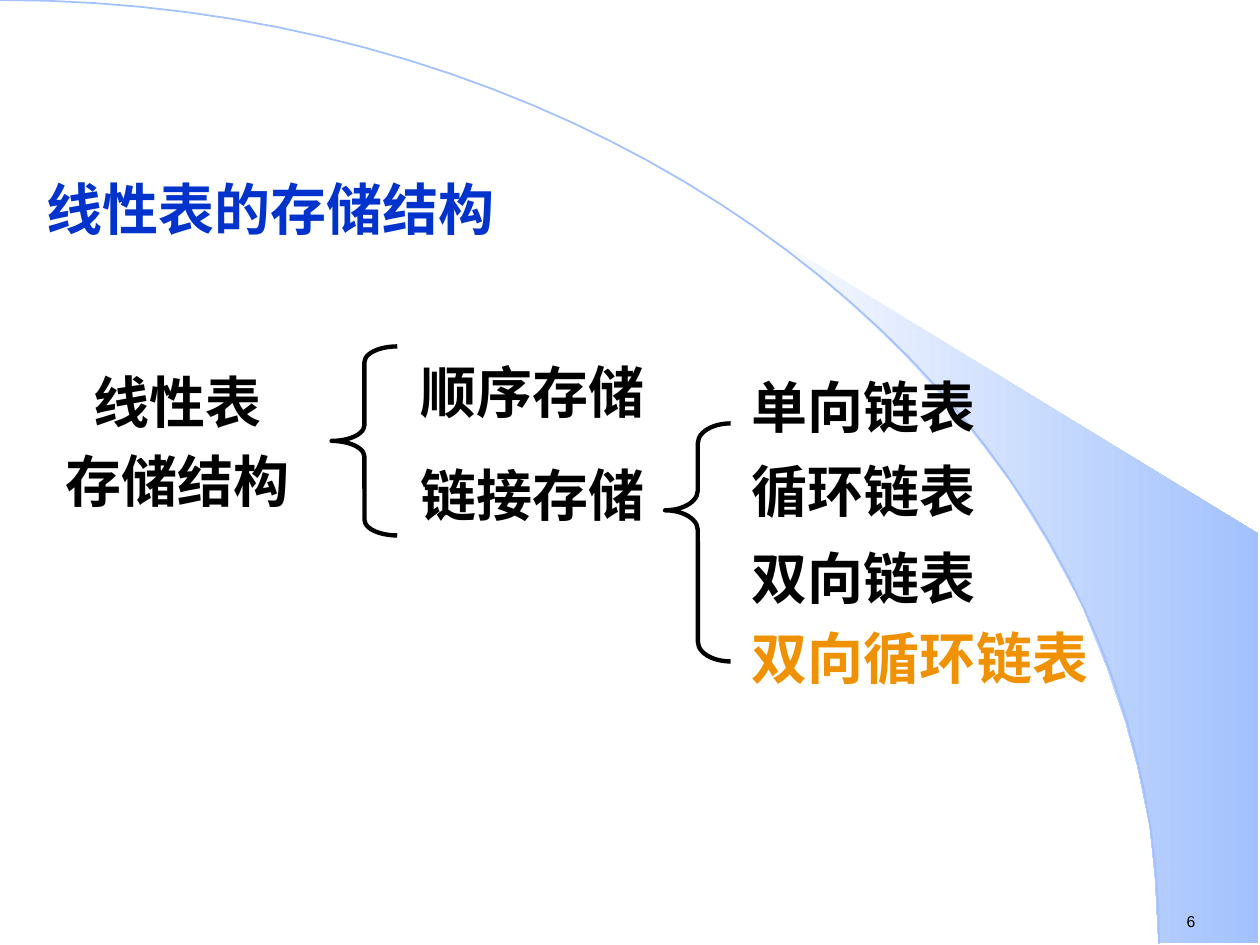
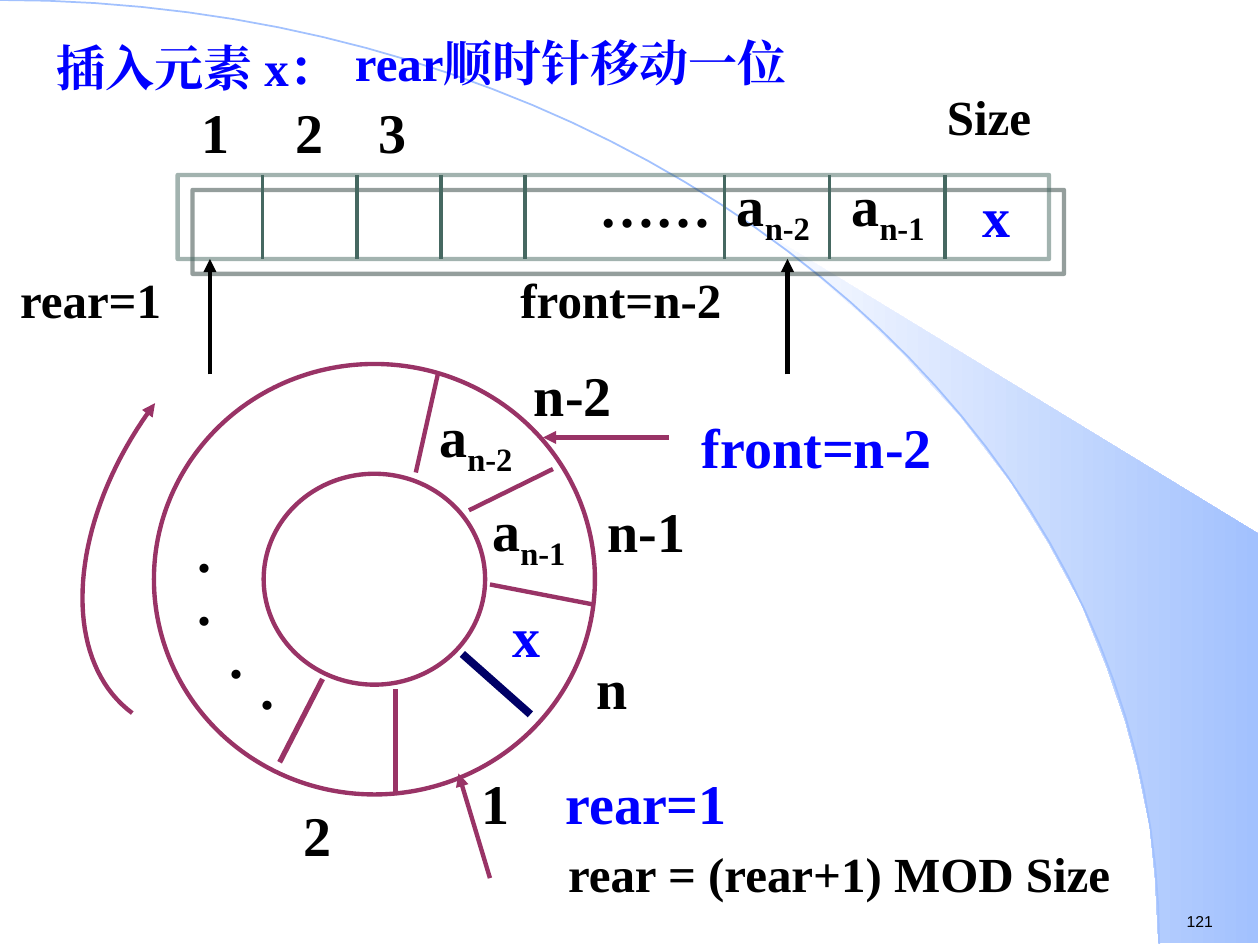
from lxml import etree
from pptx import Presentation
from pptx.dml.color import RGBColor
from pptx.enum.shapes import MSO_CONNECTOR, MSO_SHAPE
from pptx.enum.text import MSO_ANCHOR, PP_ALIGN
from pptx.oxml import parse_xml
from pptx.oxml.ns import nsdecls, qn
from pptx.util import Pt

STRAIGHT = MSO_CONNECTOR.STRAIGHT
RECT, BRACE, DONUT = MSO_SHAPE.RECTANGLE, MSO_SHAPE.LEFT_BRACE, MSO_SHAPE.DONUT
TOP, LEFT, CENTER = MSO_ANCHOR.TOP, PP_ALIGN.LEFT, PP_ALIGN.CENTER

SANS, SERIF, ARIAL = "Noto Sans CJK SC", "Times New Roman", "Arial"
BLACK, WHITE, SKY = "000000", "FFFFFF", "A2C1FE"
ROYAL, BLUE, NAVY, ORANGE = "0033CC", "0000FF", "000066", "EF9100"
PLUM, TEAL, SHADE = "993366", "466861", "2A3E3A"

ARC = [(0, 0), (366, 0), (662.4, 241), (662.4, 539.3)]
WEDGE = [(662, 539), (719, 539), (719, 305), (424, 125), (449, 143),
         (470, 160), (493, 180), (516, 202), (549, 238), (578, 276),
         (599, 310), (618, 345), (632, 380), (643, 412), (650, 438),
         (657, 472), (660, 501)]


def color(code):
    return RGBColor.from_string(code)


def bezier(a, b, c, d, steps=40):
    points = []
    for i in range(steps + 1):
        t = i / steps
        u = 1 - t
        points.append(tuple(u**3 * p + 3 * u * u * t * q + 3 * u * t * t * r + t**3 * s
                            for p, q, r, s in zip(a, b, c, d)))
    return points


class Deck:
    """Holds the shared style and the current slide."""

    def __init__(self):
        self.prs = Presentation()
        self.prs.slide_width, self.prs.slide_height = Pt(720), Pt(540)
        self.slide = None
        self.font = SERIF

    def page(self, number, font):
        self.slide = self.prs.slides.add_slide(self.prs.slide_layouts[6])
        fill = self.slide.background.fill
        fill.solid()
        fill.fore_color.rgb = color(WHITE)
        self.font = font
        wedge = self.outline(WEDGE, close=True)
        wedge.line.fill.background()
        wedge.fill.gradient()
        wedge.fill.gradient_angle = 0
        for stop, code, place in zip(wedge.fill.gradient_stops, (WHITE, SKY), (0, 1)):
            stop.color.rgb = color(code)
            stop.position = place
        self.stroke(self.outline(bezier(*ARC)), SKY, 1)
        self.text(671, 517.7, 55, 18, str(number), size=9, font=ARIAL,
                  bold=False, lead=1.15, wrap=False)

    def text(self, x, y, w, h, words, size=32, tint=BLACK, font=None, bold=True,
             align=LEFT, lead=1.2, inset=True, wrap=True):
        """Add text; lines part paragraphs, and _ starts a subscript."""
        box = self.slide.shapes.add_textbox(Pt(x), Pt(y), Pt(w), Pt(h))
        frame = box.text_frame
        frame.word_wrap = wrap
        frame.vertical_anchor = TOP
        if not inset:
            frame.margin_left = frame.margin_right = 0
            frame.margin_top = frame.margin_bottom = 0
        for i, row in enumerate(words.split("\n")):
            para = frame.add_paragraph() if i else frame.paragraphs[0]
            para.alignment = align
            para.line_spacing = Pt(size * lead)
            if i:
                para.space_before = Pt(20)
            for j, part in enumerate(row.split("_")):
                run = para.add_run()
                run.text = part
                run.font.size, run.font.bold = Pt(size), bold
                run.font.color.rgb = color(tint)
                run.font.name = font or self.font
                props = run.font._element
                etree.SubElement(props, qn("a:ea")).set("typeface", font or self.font)
                if j:
                    props.set("baseline", "-25000")

    def stroke(self, item, tint, width, arrow=False):
        item.line.color.rgb = color(tint)
        item.line.width = Pt(width)
        if arrow:
            ln = item._element.xpath(".//a:ln")[0]
            etree.SubElement(ln, qn("a:tailEnd")).set("type", "triangle")

    def line(self, start, end, tint=PLUM, width=2.5, arrow=False):
        ends = [Pt(v) for v in (*start, *end)]
        link = self.slide.shapes.add_connector(STRAIGHT, *ends)
        self.stroke(link, tint, width, arrow)
        etree.SubElement(link._element.spPr, qn("a:effectLst"))

    def outline(self, points, close=False):
        spots = [(Pt(x), Pt(y)) for x, y in points]
        form = self.slide.shapes.build_freeform(*spots[0], scale=1.0)
        form.add_line_segments(spots[1:], close=close)
        shape = form.convert_to_shape()
        shape.shadow.inherit = False
        shape.fill.background()
        return shape

    def shape(self, kind, x, y, w, h, tint=BLACK, adjust=()):
        item = self.slide.shapes.add_shape(kind, Pt(x), Pt(y), Pt(w), Pt(h))
        item.shadow.inherit = False
        item.fill.background()
        self.stroke(item, tint, 2.5)
        for i, value in enumerate(adjust):
            item.adjustments[i] = value
        return item

    def frame(self, x, y, w, h):
        """Add a half-clear rectangle with a hard shadow."""
        item = self.shape(RECT, x, y, w, h, TEAL)
        tint = item._element.xpath(".//a:ln//a:srgbClr")[0]
        etree.SubElement(tint, qn("a:alpha")).set("val", "50000")
        item._element.xpath(".//a:effectLst")[0].append(parse_xml(
            f'<a:outerShdw {nsdecls("a")} dist="{Pt(12.1)}" dir="2700000" '
            f'algn="ctr" rotWithShape="0"><a:srgbClr val="{SHADE}"/></a:outerShdw>'))


def tree(deck):
    deck.page(6, SANS)
    deck.text(19.5, 77, 420, 88, "线性表的存储结构", tint=ROYAL, lead=1.8)
    deck.shape(BRACE, 189.5, 198, 37.5, 108, adjust=(0.24, 0.5))
    deck.text(19.5, 220, 163.5, 77, "线性表\n存储结构", align=CENTER, lead=0.78)
    deck.text(233.3, 201, 150, 104, "顺序存储\n链接存储")
    deck.shape(BRACE, 380, 242, 37.5, 136, adjust=(0.3, 0.365))
    kinds = [("单向链表", 223, BLACK), ("循环链表", 271, BLACK),
             ("双向链表", 320.5, BLACK), ("双向循环链表", 366, ORANGE)]
    for word, y, tint in kinds:
        deck.text(422.6, y, 231, 32, word, tint=tint, lead=0.78)


def queue(deck):
    top, base = 100, 148
    deck.text(25.2, 18, 204, 41, "插入元素 x：", size=28, tint=BLUE)
    deck.text(195.8, 15, 268, 41, "rear顺时针移动一位", size=28, tint=BLUE, wrap=False)
    deck.frame(101.5, top, 498, base - top)
    for x in (150, 204, 252, 300, 414, 474, 540):
        deck.line((x, top), (x, base), TEAL, 2.25)
    for x, word in ((108, "1"), (162, "2"), (209.5, "3")):
        deck.text(x, 52, 36, 46, word)
    deck.text(534, 46, 114, 41, "Size", size=28)
    deck.text(335.5, 94.3, 90, 46, "……")
    deck.text(551.5, 100, 36, 46, "x", tint=BLUE, align=CENTER)
    for x, w, word in ((11.5, 97, "rear=1"), (297.4, 138, "front=n-2")):
        deck.text(x, 154, w, 34, word, size=28, inset=False)
    for x in (120, 450):
        deck.line((x, 214), (x, base), BLACK, arrow=True)


def ring(deck):
    deck.shape(DONUT, 88, 208, 252, 246, PLUM, adjust=(0.255,))
    spokes = [((280, 334), (340, 345.6)), ((268, 291.6), (316, 268)),
              ((226, 394), (226, 454)), ((250.5, 212.4), (237.6, 270))]
    for start, end in spokes:
        deck.line(start, end)
    deck.line((184.3, 388), (159.8, 435.6), width=3)
    deck.line((264.2, 373.7), (303.1, 408.2), NAVY, 4.5)
    deck.line((382.3, 250), (310.3, 250), arrow=True)
    deck.line((280, 501.8), (262, 442), arrow=True)
    sweep = bezier((75.6, 407.5), (33, 376), (39, 296.6), (88.6, 230.4))
    deck.stroke(deck.outline(sweep), PLUM, 2.5, arrow=True)
    elements = [(414, 94.3, "a_n-2"), (479.5, 94.3, "a_n-1"),
                (244, 226, "a_n-2"), (274.3, 280, "a_n-1")]
    for x, y, word in elements:
        deck.text(x, y, 72, 51, word, lead=1.36)
    labels = [(298, 202.3, "n-2"), (340, 280, "n-1"), (334, 370, "n"),
              (268, 435.6, "1"), (166.3, 453.6, "2")]
    dots = [(106, 291.6, "."), (106, 322, "."), (124, 352, "."), (142, 370, ".")]
    for x, y, word in labels + dots:
        deck.text(x, y, 66, 46, word)
    notes = [(286, 340, 48, "x"), (316, 435.6, 138, "rear=1"),
             (394, 232, 180, "front=n-2")]
    for x, y, w, word in notes:
        deck.text(x, y, w, 46, word, tint=BLUE)
    deck.text(317.5, 475.2, 325.5, 45, "rear = (rear+1) MOD Size",
              size=28, lead=1.32, wrap=False)


def main():
    deck = Deck()
    tree(deck)
    deck.page(121, SERIF)
    queue(deck)
    ring(deck)
    deck.prs.save("out.pptx")


if __name__ == "__main__":
    main()
